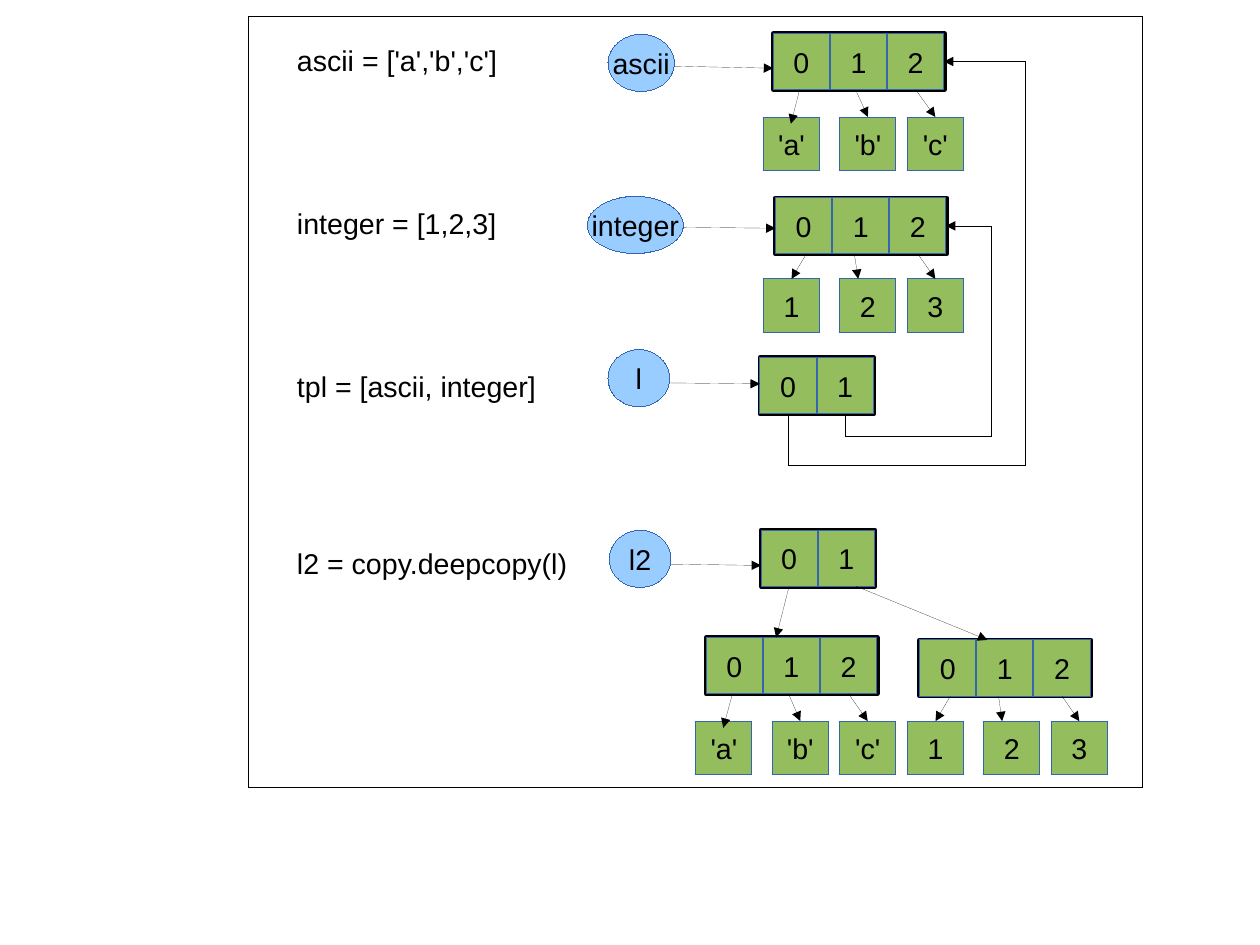
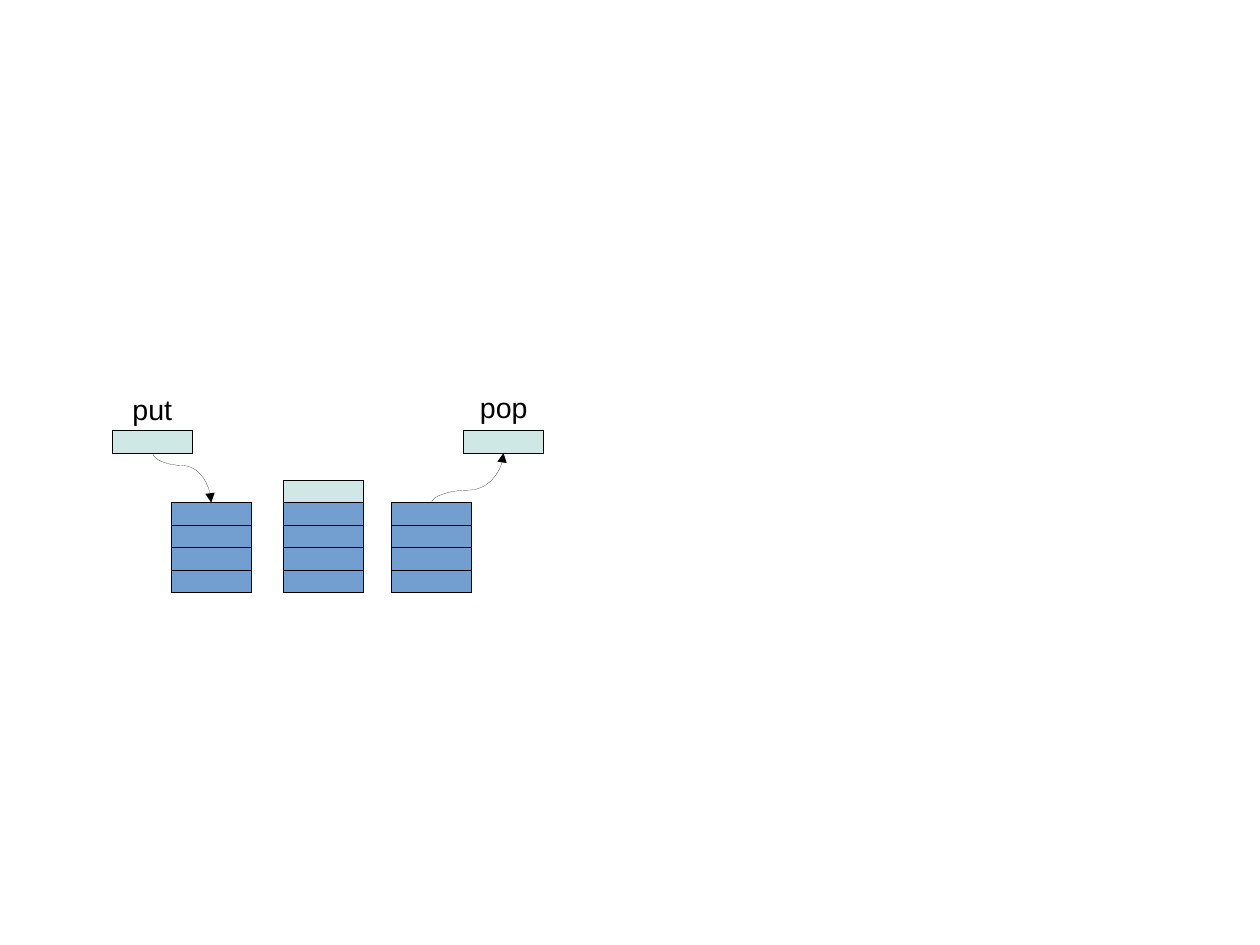
from dataclasses import dataclass

from lxml import etree
from pptx import Presentation
from pptx.dml.color import RGBColor
from pptx.enum.shapes import MSO_CONNECTOR, MSO_SHAPE
from pptx.enum.text import MSO_ANCHOR, PP_ALIGN
from pptx.oxml.ns import qn
from pptx.util import Pt

RECT, OVAL = MSO_SHAPE.RECTANGLE, MSO_SHAPE.OVAL
LINE, ELBOW, CURVE = MSO_CONNECTOR.STRAIGHT, MSO_CONNECTOR.ELBOW, MSO_CONNECTOR.CURVE
LEFT, MID = PP_ALIGN.LEFT, PP_ALIGN.CENTER
TOP, CENTER = MSO_ANCHOR.TOP, MSO_ANCHOR.MIDDLE
NORTH, SOUTH, EAST = 0, 2, 3

# Shared style
WIDE, HIGH = 793.7, 595.28
FONT, SIZE = "Arial", 18
BLACK, WHITE, EDGE = "000000", "FFFFFF", "3465AF"
GREEN, SKY, BLUE, MINT = "94BD5E", "99CCFF", "729FCF", "CFE7E5"
HAIR, THICK = 0.01, 2.89

# Grid of the list diagram
CELL, PITCH, BOX_H = 35.4, 36, 33.7
BOX_X = (0, 48.1, 90.6)
# Stack items
ITEM_W, ITEM_H, STACK_Y, SPARE_Y = 50.4, 14.2, 316.6, 271.2


@dataclass
class Name:
    code: str
    code_y: float
    text: str
    x: float
    y: float
    width: float
    out_y: float
    in_y: float
    row_x: float
    row_y: float
    count: int


@dataclass
class Kind:
    """Arrow ends: an offset, or None for the middle of the side."""
    items: tuple
    starts: tuple
    ends: tuple


NAMES = (
    Name(" ascii = ['a','b','c']", 23.4, "ascii", 383, 21.6, 41.8, 41.7, 43, 487.1, 21.1, 3),
    Name(" integer = [1,2,3]", 126, "integer", 370, 123.7, 60.5, 143.2, 143.8, 488.5, 124.6, 3),
    Name(" tpl = [ascii, integer]", 228.6, "l", 383, 220.2, 38.9, 241.2, 241.8, 478.7, 225.3, 2),
    Name(" l2 = copy.deepcopy(l)", 340.2, "l2", 383.8, 334, 38.9, 355.4, 356.2, 479.4, 333.9, 2),
)
CHARS = Kind(("'a'", "'b'", "'c'"), (16.6, 51.9, None), ((17.3, 4.3), None, None))
INTS = Kind(("1", "2", "3"), (19.4, 49.7, None), (None, (59.7, 0), None))


def rgb(code: str) -> RGBColor:
    return RGBColor.from_string(code)


def write(shape, text: str, *, align=MID, anchor=CENTER, wrap: bool = False) -> None:
    frame = shape.text_frame
    frame.word_wrap = wrap
    frame.vertical_anchor = anchor
    para = frame.paragraphs[0]
    para.alignment = align
    run = para.add_run()
    run.text = text
    run.font.name, run.font.size = FONT, Pt(SIZE)
    run.font.color.rgb = rgb(BLACK)


def label(slide, text: str, x: float, y: float, width: float) -> None:
    box = slide.shapes.add_textbox(Pt(x), Pt(y), Pt(width), Pt(27.4))
    write(box, text, align=LEFT, anchor=TOP, wrap=True)


def draw(slide, form, x: float, y: float, width: float, height: float,
         fill: str, edge: str = BLACK, weight: float = HAIR, text: str = ""):
    shape = slide.shapes.add_shape(form, Pt(x), Pt(y), Pt(width), Pt(height))
    shape.shadow.inherit = False
    shape.fill.solid()
    shape.fill.fore_color.rgb = rgb(fill)
    shape.line.color.rgb = rgb(edge)
    shape.line.width = Pt(weight)
    if text:
        write(shape, text)
    return shape


def link(slide, start: tuple, end: tuple, form=LINE):
    """Draw an arrow; each end is a point or a (shape, site) pair."""
    free = [isinstance(spot[0], (int, float)) for spot in (start, end)]
    ends = [Pt(v) for spot, loose in zip((start, end), free)
            for v in (spot if loose else (0, 0))]
    arrow = slide.shapes.add_connector(form, *ends)
    if not free[0]:
        arrow.begin_connect(*start)
    if not free[1]:
        arrow.end_connect(*end)
    arrow.line.color.rgb = rgb(BLACK)
    arrow.line.width = Pt(HAIR)
    props = arrow._element.spPr
    etree.SubElement(props.find(qn("a:ln")), qn("a:tailEnd"), type="triangle")
    etree.SubElement(props, qn("a:effectLst"))
    return arrow


def route(slide, start: tuple, end: tuple, form, preset: str,
          turn: int, flips: str, adjust: tuple) -> None:
    """Draw a turned connector that leaves its start vertically."""
    arrow = link(slide, start, end, form)
    x1, y1, x2, y2 = arrow.begin_x, arrow.begin_y, arrow.end_x, arrow.end_y
    width, height = abs(y2 - y1), abs(x2 - x1)
    arrow.left, arrow.top = (x1 + x2 - width) // 2, (y1 + y2 - height) // 2
    arrow.width, arrow.height = width, height
    arrow.rotation = turn
    props = arrow._element.spPr
    frame = props.find(qn("a:xfrm"))
    for axis in "hv":
        frame.set("flip" + axis.upper(), str(int(axis in flips)))
    shape = props.find(qn("a:prstGeom"))
    shape.set("prst", preset)
    guides = shape.find(qn("a:avLst"))
    if guides is None:
        guides = etree.SubElement(shape, qn("a:avLst"))
    for i, value in enumerate(adjust, 1):
        etree.SubElement(guides, qn("a:gd"), name=f"adj{i}",
                         fmla=f"val {round(value * 100000)}")


def row(slide, x: float, y: float, count: int) -> list:
    draw(slide, RECT, x, y, count * PITCH - 0.2, CELL, BLUE, weight=THICK)
    return [draw(slide, RECT, x + i * PITCH, y, CELL, CELL, GREEN, EDGE, text=str(i))
            for i in range(count)]


def values(slide, kind: Kind, cells: list, x: float, y: float) -> None:
    left, low = cells[0].left.pt, cells[0].top.pt + CELL
    parts = zip(kind.items, BOX_X, cells, kind.starts, kind.ends)
    for text, shift, cell, start, end in parts:
        box = draw(slide, RECT, x + shift, y, CELL, BOX_H, GREEN, EDGE, text=text)
        link(slide,
             (cell, SOUTH) if start is None else (left + start, low),
             (box, NORTH) if end is None else (x + end[0], y + end[1]))


def lists(slide) -> None:
    draw(slide, RECT, 156.5, 10.2, 563.3, 485.7, WHITE)
    rows = []
    # Names, code and the lists they refer to
    for n in NAMES:
        label(slide, n.code, 175, n.code_y, 200)
        draw(slide, OVAL, n.x, n.y, n.width, 36, SKY, EDGE, text=n.text)
        rows.append(row(slide, n.row_x, n.row_y, n.count))
        link(slide, (n.x + n.width, n.out_y), (n.row_x, n.in_y))
    chars, ints, outer, deep = rows
    # Deep copies
    chars2, ints2 = row(slide, 444.8, 401.6, 3), row(slide, 579.3, 403.1, 3)
    link(slide, (deep[0], SOUTH), (488.9, 401.6))
    link(slide, (539.3, 369.3), (622, 403.1))
    # Values
    for kind, cells, x, y in ((CHARS, chars, 480.9, 73.7), (INTS, ints, 480.9, 175.7),
                              (CHARS, chars2, 438.3, 454.2), (INTS, ints2, 571.6, 454.3)):
        values(slide, kind, cells, x, y)
    # References from the outer list
    for cell, goal, adjust in ((outer[0], chars[2], (-0.146, 1.519)),
                               (outer[1], ints[2], (-0.12, 1.452))):
        route(slide, (cell, SOUTH), (goal, EAST), ELBOW, "bentConnector4", 90, "hv", adjust)


def stacks(slide) -> None:
    def item(x: float, y: float, fill: str):
        return draw(slide, RECT, x, y, ITEM_W, ITEM_H, fill)

    # Three states of the stack
    first, _, last = [[item(x, STACK_Y + i * ITEM_H, BLUE) for i in range(4)]
                      for x in (107.9, 178.5, 246.7)]
    # Moving item
    new = item(71, SPARE_Y, MINT)
    item(178.5, STACK_Y - ITEM_H, MINT)
    old = item(292, SPARE_Y, MINT)
    for start, end, turn, flips in (((new, SOUTH), (first[0], NORTH), 270, "h"),
                                    ((last[0], NORTH), (old, SOUTH), 90, "hv")):
        route(slide, start, end, CURVE, "curvedConnector3", turn, flips, (0.25,))
    label(slide, "put", 76.3, 243.4, 60)
    label(slide, "pop", 295.2, 241.9, 60)


def main() -> None:
    deck = Presentation()
    deck.slide_width, deck.slide_height = Pt(WIDE), Pt(HIGH)
    for build in (lists, stacks):
        build(deck.slides.add_slide(deck.slide_layouts[6]))
    deck.save("out.pptx")


if __name__ == "__main__":
    main()
